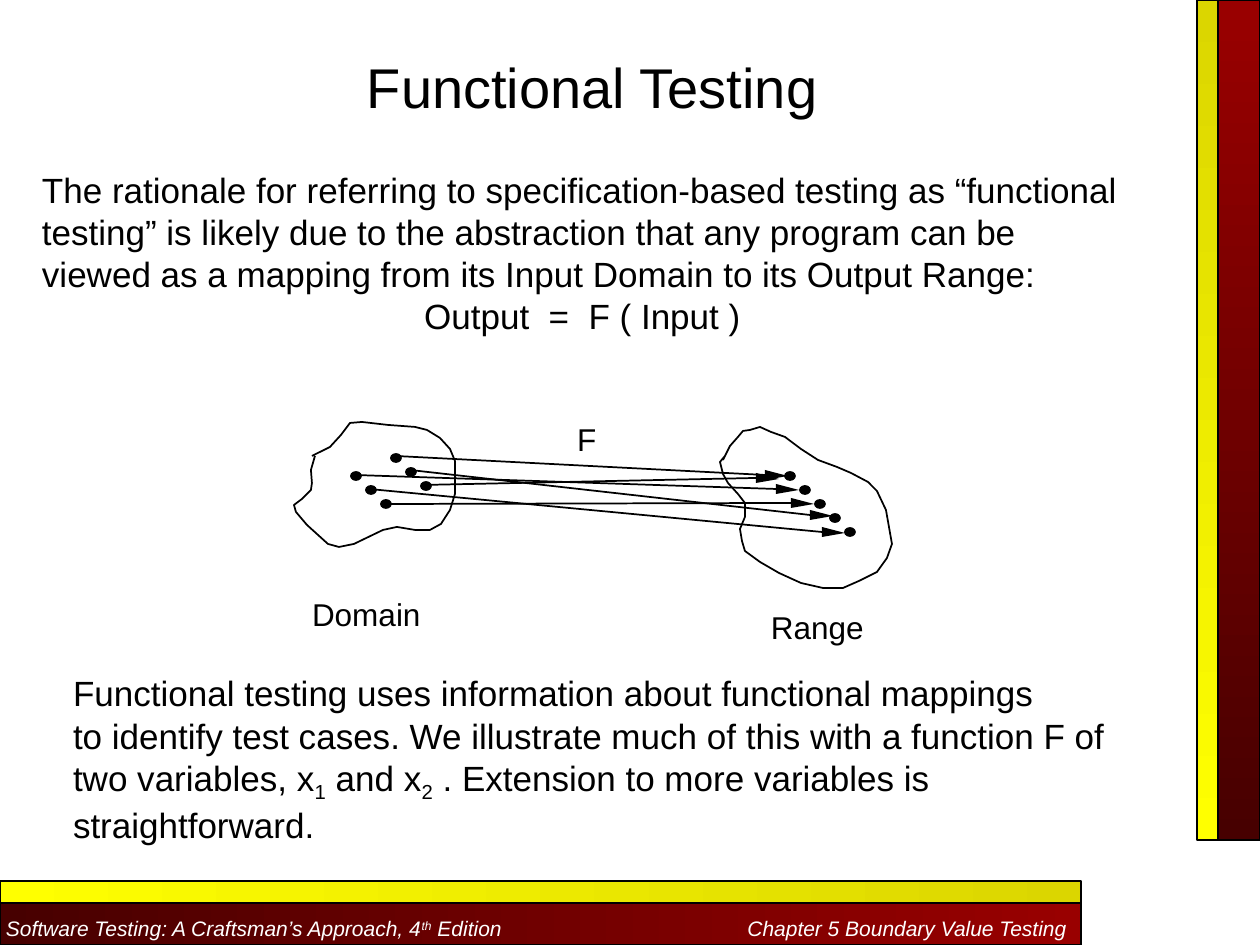
from lxml import etree
from pptx import Presentation
from pptx.dml.color import RGBColor
from pptx.enum import shapes as shp, text as txt
from pptx.oxml import ns
from pptx.util import Pt

PX = 914400 / 126
THEME = {
    "font": "Arial", "ink": "000000", "pale": "FFFFFF",
    "red": ("990000", "470000"), "gold": ("DBD600", "FFFF00"),
    "head": 32, "body": 20, "label": 18, "foot": 12,
    "line": 1, "edge": 0.75,
}
LEFT, MID = txt.PP_ALIGN.LEFT, txt.PP_ALIGN.CENTER

BARS = [
    ("red", (1218, 0, 42, 840)),
    ("red", (0, 903, 1081, 42)),
    ("gold", (1197, 0, 21, 840)),
    ("gold", (0, 881, 1081, 22)),
]
FOOT = [[("Software Testing: A Craftsman’s Approach, 4", 0), ("th", 30),
         (" Edition\tChapter 5 Boundary Value Testing", 0)]]
TITLE = [[("Functional Testing", 0)]]
INTRO = [
    [("The rationale for referring to specification-based testing as “functional "
      "testing” is likely due to the abstraction that any program can be viewed "
      "as a mapping from its Input Domain to its Output Range:", 0)],
    [("Output  =  F ( Input )", 0)],
]
CLOSE = [
    [("Functional testing uses information about functional mappings", 0)],
    [("to identify test cases. We illustrate much of this with a function F of "
      "two variables, x", 0), ("1", -25), (" and x", 0), ("2", -25),
     (" . Extension to more variables is straightforward.", 0)],
]
TEXTS = [
    (INTRO, (42, 168, 1081, 168), "body", True, (LEFT, MID)),
    (CLOSE, (73, 672, 1050, 174), "body", True, (LEFT, LEFT)),
    ([[("Domain", 0)]], (312, 595, 108, 38), "label", False, (LEFT,)),
    ([[("Range", 0)]], (771, 608, 93, 38), "label", False, (LEFT,)),
    ([[("F", 0)]], (577, 420, 19, 38), "label", False, (LEFT,)),
]
DOMAIN = [
    (312, 456), (330, 447), (341, 435), (350, 423), (362, 422), (388, 425),
    (415, 427), (427, 430), (440, 438), (450, 449), (455, 461), (455, 475),
    (455, 494), (450, 510), (441, 524), (430, 530), (415, 530), (397, 527),
    (383, 530), (354, 544), (339, 547), (328, 544), (307, 525), (296, 512),
    (294, 505), (302, 499), (311, 490), (312, 483), (311, 470), (315, 456),
]
RANGE = [
    (723, 460), (730, 446), (738, 437), (743, 431), (750, 430), (760, 427),
    (771, 432), (785, 437), (801, 449), (818, 460), (837, 467), (851, 473),
    (868, 482), (877, 491), (886, 510), (892, 544), (887, 558), (877, 572),
    (859, 581), (843, 588), (823, 588), (801, 583), (779, 573), (760, 562),
    (745, 551), (742, 541), (740, 529), (745, 517), (745, 503), (738, 494),
    (728, 483), (723, 474), (720, 462), (725, 456),
]
DOTS = [((391, 454), 3), ((785, 472), 5), ((351, 472), 3)]
STEP, DOT = (15, 14), (10, 8)
ARROWS = [
    ((396, 456), (765, 475)), ((410, 470), (810, 515)),
    ((423, 485), (756, 478)), ((355, 475), (776, 489)),
    ((369, 489), (822, 532)), ((388, 504), (791, 503)),
]
HEAD = (23, 1, 5)


def emu(vals):
    return [round(v * PX) for v in vals]


def color(key):
    return RGBColor.from_string(THEME[key])


def apply(obj, **vals):
    for key, val in vals.items():
        setattr(obj, key, val)


def place(shape, box):
    apply(shape, **dict(zip(("left", "top", "width", "height"), emu(box))))


def stroke(shape, size="line"):
    shape.line.color.rgb = color("ink")
    shape.line.width = Pt(THEME[size])


def paint(shape, fill=True):
    shape.shadow.inherit = False
    if fill:
        shape.fill.solid()
        shape.fill.fore_color.rgb = color("ink")
    else:
        shape.fill.background()


def write(shape, paras, size, wrap, aligns, ink="ink", italic=False,
          anchor=txt.MSO_ANCHOR.TOP, left=0, top=0):
    frame = shape.text_frame
    apply(frame, word_wrap=wrap, auto_size=txt.MSO_AUTO_SIZE.NONE,
          vertical_anchor=anchor, margin_left=round(left * PX),
          margin_top=round(top * PX), margin_right=0, margin_bottom=0)
    for i, (runs, align) in enumerate(zip(paras, aligns)):
        para = frame.add_paragraph() if i else frame.paragraphs[0]
        para.alignment = align
        for words, base in runs:
            run = para.add_run()
            run.text = words
            apply(run.font, name=THEME["font"], size=Pt(THEME[size]), italic=italic)
            run.font.color.rgb = color(ink)
            if base:
                run.font._element.set("baseline", str(base * 1000))


def add_bar(slide, key, box):
    bar = slide.shapes.add_shape(shp.MSO_SHAPE.RECTANGLE, *emu(box))
    bar.shadow.inherit = False
    tall = box[3] > box[2]
    bar.fill.gradient()
    bar.fill.gradient_angle = 270 if tall else 0
    tones = THEME[key] if tall else THEME[key][::-1]
    for stop, tone in zip(bar.fill.gradient_stops, tones):
        stop.color.rgb = RGBColor.from_string(tone)
    stroke(bar, "edge")
    return bar


def add_foot(bar):
    write(bar, FOOT, "foot", True, (LEFT,), "pale", True,
          txt.MSO_ANCHOR.MIDDLE, 6, 8)
    props = bar.text_frame.paragraphs[0]._p.get_or_add_pPr()
    tabs = etree.SubElement(props, ns.qn("a:tabLst"))
    etree.SubElement(tabs, ns.qn("a:tab"), pos=str(round(1061 * PX)), algn="r")


def add_form(slide, pts, close):
    pen = slide.shapes.build_freeform(*pts[0], scale=PX)
    pen.add_line_segments(pts[1:], close=close)
    form = pen.convert_to_shape()
    paint(form, close)
    if close:
        form.line.fill.background()
    else:
        stroke(form)


def add_arrow(slide, start, base):
    line = slide.shapes.add_connector(shp.MSO_CONNECTOR.STRAIGHT, *emu(start + base))
    stroke(line)
    etree.SubElement(line._element.spPr, ns.qn("a:effectLst"))
    x, y = base
    run, drop, half = HEAD
    add_form(slide, [(x + run, y + drop), (x, y + half), (x, y - half)], True)


def main():
    deck = Presentation()
    deck.slide_width, deck.slide_height = emu((1260, 945))
    slide = deck.slides.add_slide(deck.slide_layouts[5])
    bars = [add_bar(slide, *bar) for bar in BARS]
    add_foot(bars[1])
    title = slide.shapes.title
    place(title, (367, 53, 459, 67))
    write(title, TITLE, "head", False, (LEFT,))
    for paras, box, size, wrap, aligns in TEXTS:
        write(slide.shapes.add_textbox(*emu(box)), paras, size, wrap, aligns)
    for pts in (DOMAIN, RANGE):
        add_form(slide, pts, False)
    for (x, y), count in DOTS:
        for i in range(count):
            spot = (x + i * STEP[0], y + i * STEP[1])
            dot = slide.shapes.add_shape(shp.MSO_SHAPE.OVAL, *emu(spot + DOT))
            paint(dot)
            stroke(dot)
    for start, base in ARROWS:
        add_arrow(slide, start, base)
    deck.save("out.pptx")


if __name__ == "__main__":
    main()
